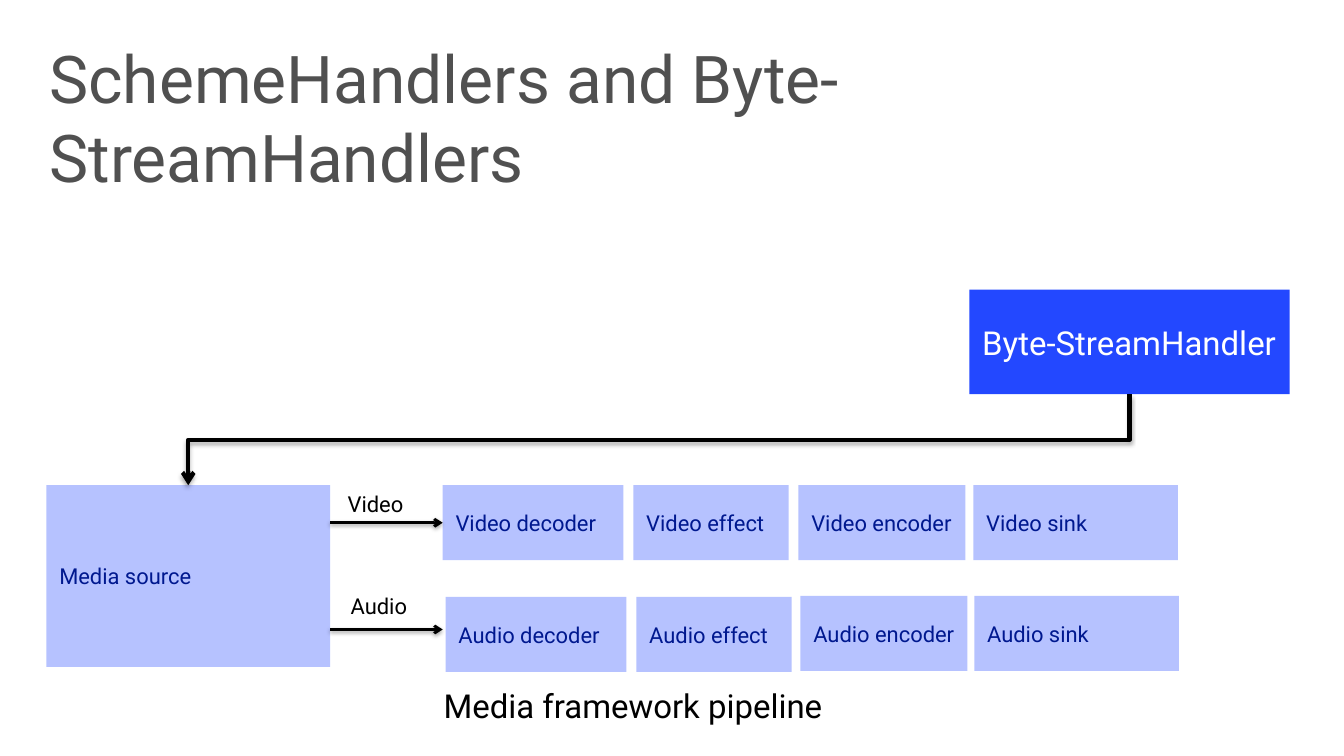
"""Builds the slide that shows a byte-stream handler feeding a media pipeline."""
from dataclasses import dataclass

from lxml.etree import SubElement
from pptx import Presentation
from pptx.dml.color import RGBColor
from pptx.enum.shapes import MSO_CONNECTOR as Link, MSO_SHAPE as Preset
from pptx.enum.text import MSO_ANCHOR as Anchor, MSO_AUTO_SIZE as Fit, PP_ALIGN as Align
from pptx.oxml.ns import qn
from pptx.shapes.autoshape import Shape
from pptx.shapes.connector import Connector
from pptx.slide import Slide
from pptx.text.text import TextFrame
from pptx.util import Inches, Pt

FONT = "Roboto"
BLACK = "000000"
STAGE_HEIGHT = 0.76


@dataclass
class Box:
    text: str
    left: float
    top: float
    width: float
    height: float = STAGE_HEIGHT
    fill: str = "B6C2FF"
    color: str = "00188F"
    size: int = 16


@dataclass
class Label:
    text: str
    left: float
    top: float
    width: float
    height: float
    size: int = 16


@dataclass
class Stage:
    name: str
    video_left: float
    audio_left: float
    audio_top: float
    width: float


HANDLER = Box("Byte-StreamHandler", 9.81, 2.93, 3.24, 1.06, "2348FF", "FFFFFF", 24)
SOURCE = Box("Media source", 0.47, 4.91, 2.87, 1.84)
STAGES = [
    Stage("decoder", 4.48, 4.51, 6.04, 1.83),
    Stage("effect", 6.41, 6.44, 6.04, 1.57),
    Stage("encoder", 8.08, 8.1, 6.03, 1.69),
    Stage("sink", 9.85, 9.86, 6.03, 2.07),
]
LABELS = [
    Label("Video", 3.42, 4.92, 0.94, 0.37),
    Label("Audio", 3.45, 5.95, 0.94, 0.37),
    Label("Media framework pipeline", 4.39, 6.89, 5.15, 0.5, 24),
]


def rgb(value: str) -> RGBColor:
    return RGBColor.from_string(value)


def write(frame: TextFrame, text: str, size: int, color: str) -> None:
    frame.word_wrap = True
    para = frame.paragraphs[0]
    para.alignment = Align.LEFT
    span = para.add_run()
    span.text = text
    span.font.name = FONT
    span.font.size = Pt(size)
    span.font.color.rgb = rgb(color)


def set_insets(frame: TextFrame, side: float, end: float) -> None:
    frame.margin_left = frame.margin_right = Inches(side)
    frame.margin_top = frame.margin_bottom = Inches(end)


def add_title(page: Slide) -> None:
    title = page.shapes.title
    title.left, title.top = Inches(0.3), Inches(0.33)
    title.width, title.height = Inches(13), Inches(1)
    frame = title.text_frame
    frame.auto_size = Fit.NONE
    frame.vertical_anchor = Anchor.TOP
    set_insets(frame, 0.2, 0.05)
    write(frame, "SchemeHandlers and Byte-StreamHandlers", 48, "505050")


def add_box(page: Slide, box: Box) -> Shape:
    shape = page.shapes.add_shape(
        Preset.RECTANGLE, Inches(box.left), Inches(box.top), Inches(box.width), Inches(box.height)
    )
    shape.shadow.inherit = False
    shape.fill.solid()
    shape.fill.fore_color.rgb = rgb(box.fill)
    shape.line.fill.background()
    shape.text_frame.vertical_anchor = Anchor.MIDDLE
    set_insets(shape.text_frame, 0.13, 0.07)
    write(shape.text_frame, box.text, box.size, box.color)
    return shape


def add_label(page: Slide, label: Label) -> None:
    shape = page.shapes.add_textbox(
        Inches(label.left), Inches(label.top), Inches(label.width), Inches(label.height)
    )
    shape.text_frame.auto_size = Fit.SHAPE_TO_FIT_TEXT
    write(shape.text_frame, label.text, label.size, BLACK)


def style_arrow(arrow: Connector, weight: float, distance: float, opacity: int) -> None:
    arrow.line.color.rgb = rgb(BLACK)
    arrow.line.width = Pt(weight)
    properties = arrow._element.spPr
    SubElement(properties.find(qn("a:ln")), qn("a:tailEnd"), type="arrow")
    effects = SubElement(properties, qn("a:effectLst"))
    shadow = SubElement(
        effects, qn("a:outerShdw"), blurRad=str(Pt(3.1)), dist=str(Pt(distance)),
        dir="5400000", rotWithShape="0",
    )
    tint = SubElement(shadow, qn("a:srgbClr"), val=BLACK)
    SubElement(tint, qn("a:alpha"), val=str(opacity * 1000))


def add_flow(page: Slide, height: float) -> Connector:
    start = SOURCE.left + SOURCE.width
    arrow = page.shapes.add_connector(
        Link.STRAIGHT, Inches(start), Inches(height), Inches(STAGES[0].video_left), Inches(height)
    )
    style_arrow(arrow, 2, 1.6, 38)
    return arrow


def add_elbow(page: Slide, handler: Shape, source: Shape) -> None:
    """Joins the handler's bottom to the source's top with a quarter-turned elbow."""
    arrow = page.shapes.add_connector(Link.ELBOW, 0, 0, 0, 0)
    arrow.begin_connect(handler, 2)
    arrow.end_connect(source, 0)
    start = handler.left + handler.width // 2
    end = source.left + source.width // 2
    top = handler.top + handler.height
    across, drop = start - end, source.top - top
    shift = (across - drop) // 2
    arrow.left, arrow.top = end + shift, top - shift
    arrow.width, arrow.height = drop, across
    frame = arrow._element.spPr.find(qn("a:xfrm"))
    for flip in ("flipH", "flipV"):
        frame.attrib.pop(flip, None)
    frame.set("rot", "5400000")
    style_arrow(arrow, 3, 1.8, 35)


def main() -> None:
    deck = Presentation()
    deck.slide_width, deck.slide_height = Inches(13.6), Inches(7.65)
    page = deck.slides.add_slide(deck.slide_layouts[5])
    add_title(page)
    handler = add_box(page, HANDLER)
    source = add_box(page, SOURCE)
    video_row = [
        add_box(page, Box(f"Video {stage.name}", stage.video_left, SOURCE.top, stage.width))
        for stage in STAGES
    ]
    for stage in STAGES:
        add_box(page, Box(f"Audio {stage.name}", stage.audio_left, stage.audio_top, stage.width))
    video_flow = add_flow(page, SOURCE.top + STAGE_HEIGHT / 2)
    video_flow.end_connect(video_row[0], 1)
    add_flow(page, 6.37)
    for label in LABELS:
        add_label(page, label)
    add_elbow(page, handler, source)
    deck.save("out.pptx")


if __name__ == "__main__":
    main()
